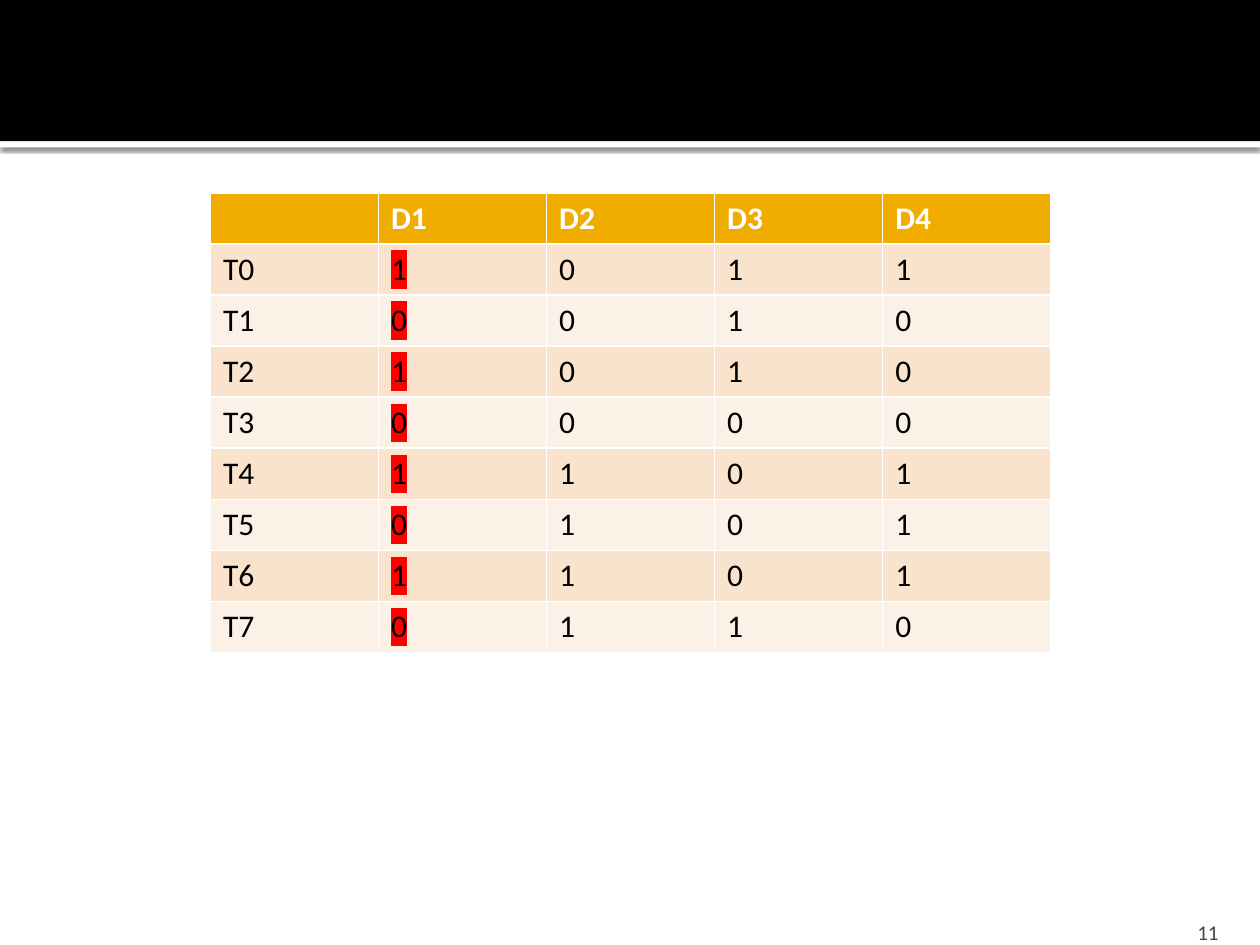
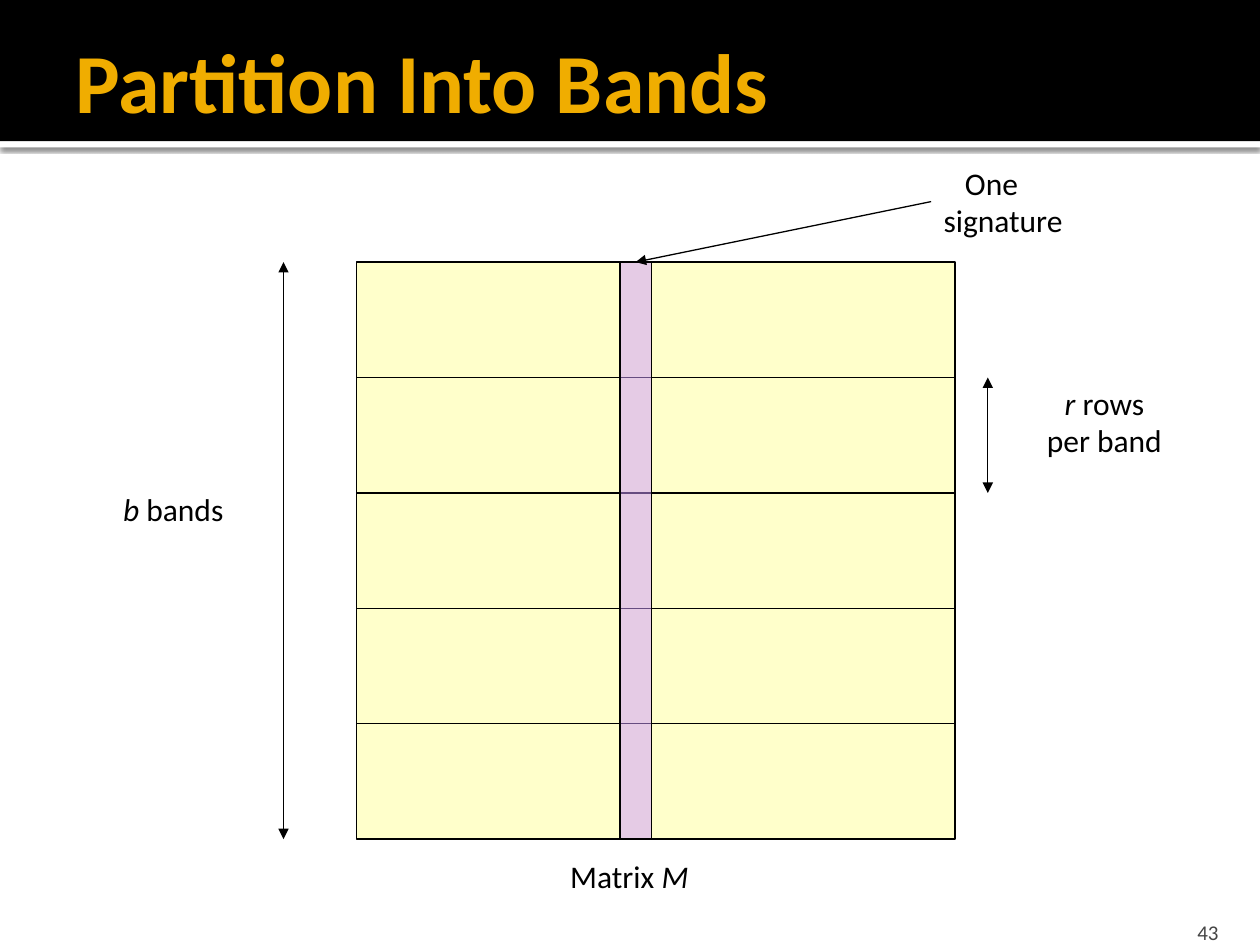
from dataclasses import dataclass

from lxml import etree
from pptx import Presentation
from pptx.dml.color import RGBColor
from pptx.enum import shapes, text
from pptx.oxml import ns
from pptx.util import Inches, Pt


@dataclass(frozen=True)
class Theme:
    """Colours, type sizes and line widths shared by the slides."""
    font: str = "Calibri"
    black: str = "000000"
    white: str = "FFFFFF"
    gold: str = "F0AD00"
    footer: str = "454545"
    stripes: tuple = ("F9E3CC", "FCF1E7")
    highlight: str = "FF0000"
    matrix: str = "FFFF99"
    signature: str = "CC99FF"
    title_size: int = 48
    body_size: int = 18
    footer_size: int = 12
    line_width: float = 0.75


THEME = Theme()
WIDTH, HEIGHT = 10, 7.5
BAND_HEIGHT = 1.12
ALIGN = text.PP_ALIGN
ANCHOR = text.MSO_ANCHOR


def add_element(parent, tag, **attributes):
    """Append a drawing element to a parent and return it."""
    return etree.SubElement(parent, ns.qn(f"a:{tag}"), attributes)


def style_font(font, size=THEME.body_size, color=THEME.black, bold=False):
    """Give a font the theme face with a size, colour and weight."""
    font.size = Pt(size)
    font.bold = bold
    font.color.rgb = RGBColor.from_string(color)
    font.name = THEME.font


def add_rectangle(slide, box, color, alpha=None, outlined=False):
    """Add a flat rectangle, optionally translucent or outlined."""
    shape = slide.shapes.add_shape(
        shapes.MSO_SHAPE.RECTANGLE, *(Inches(value) for value in box))
    shape.shadow.inherit = False
    shape.fill.solid()
    shape.fill.fore_color.rgb = RGBColor.from_string(color)
    if alpha is not None:
        color_element = shape.element.spPr.find(f".//{ns.qn('a:srgbClr')}")
        add_element(color_element, "alpha", val=str(alpha * 1000))
    if outlined:
        shape.line.color.rgb = RGBColor.from_string(THEME.black)
        shape.line.width = Pt(THEME.line_width)
    else:
        shape.line.fill.background()
    return shape


def add_line(slide, start, end, head=False, tail=False):
    """Add a thin straight line with optional arrowheads."""
    connector = slide.shapes.add_connector(
        shapes.MSO_CONNECTOR.STRAIGHT, *(Inches(value) for value in (*start, *end)))
    connector.line.color.rgb = RGBColor.from_string(THEME.black)
    connector.line.width = Pt(THEME.line_width)
    properties = connector.element.spPr
    line = properties.find(ns.qn("a:ln"))
    for wanted, tag in ((head, "headEnd"), (tail, "tailEnd")):
        if wanted:
            add_element(line, tag, type="triangle")
    add_element(properties, "effectLst")
    return connector


def add_text(slide, box, paragraphs, align=ALIGN.LEFT, anchor=ANCHOR.TOP,
             insets=(0.1, 0.05, 0.1, 0.05), **style):
    """Add a text box; each paragraph is a list of (words, italic) runs."""
    shape = slide.shapes.add_textbox(*(Inches(value) for value in box))
    frame = shape.text_frame
    frame.word_wrap = True
    frame.vertical_anchor = anchor
    (frame.margin_left, frame.margin_top,
     frame.margin_right, frame.margin_bottom) = (Inches(inset) for inset in insets)
    for index, runs in enumerate(paragraphs):
        paragraph = frame.add_paragraph() if index else frame.paragraphs[0]
        paragraph.alignment = align
        for words, italic in runs:
            run = paragraph.add_run()
            run.text = words
            style_font(run.font, **style)
            run.font.italic = italic
    return shape


def add_frame(slide, number, title=None):
    """Add the header band, its shadowed rule, the page number and the title."""
    rule = add_rectangle(slide, (0, BAND_HEIGHT, WIDTH, 0.05), THEME.white)
    effects = rule.element.spPr.find(ns.qn("a:effectLst"))
    shadow = add_element(effects, "outerShdw", blurRad=str(Pt(2.5)),
                         dist=str(Pt(0.8)), dir="5400000", rotWithShape="0")
    color = add_element(shadow, "srgbClr", val=THEME.black)
    add_element(color, "alpha", val="60000")
    add_rectangle(slide, (0, 0, WIDTH, BAND_HEIGHT), THEME.black)
    add_text(slide, (8.97, HEIGHT - 0.3, 0.8, 0.3), [[(str(number), False)]],
             ALIGN.RIGHT, ANCHOR.BOTTOM, (0.1, 0.05, 0.1, 0),
             size=THEME.footer_size, color=THEME.footer)
    if title:
        add_text(slide, (0.5, 0.17, 9.5, 0.92), [[(title, False)]],
                 anchor=ANCHOR.MIDDLE, insets=(0.1, 0.05, 0.05, 0.05),
                 size=THEME.title_size, color=THEME.gold, bold=True)


def highlight_run(run):
    """Mark a run with the highlight colour."""
    fill = run.font.fill
    fill.solid()
    run.font.color.rgb = RGBColor.from_string(THEME.black)
    properties = run._r.get_or_add_rPr()
    highlight = etree.Element(ns.qn("a:highlight"))
    add_element(highlight, "srgbClr", val=THEME.highlight)
    properties.find(ns.qn("a:solidFill")).addnext(highlight)


def add_bit_table(slide, box, documents, bits):
    """Add the term by document table with the first document highlighted."""
    rows = [["", *documents]]
    rows += [[f"T{index}", *values] for index, values in enumerate(bits)]
    table = slide.shapes.add_table(
        len(rows), len(rows[0]), *(Inches(value) for value in box)).table
    for row in table.rows:
        row.height = Inches(box[3] / len(rows))
    for row_index, values in enumerate(rows):
        header = row_index == 0
        fill = THEME.gold if header else THEME.stripes[(row_index - 1) % 2]
        for column_index, value in enumerate(values):
            cell = table.cell(row_index, column_index)
            cell.fill.solid()
            cell.fill.fore_color.rgb = RGBColor.from_string(fill)
            cell.text_frame.text = value
            paragraph = cell.text_frame.paragraphs[0]
            style_font(paragraph.font)
            for run in paragraph.runs:
                style_font(run.font, bold=header,
                           color=THEME.white if header else THEME.black)
                if column_index == 1 and not header:
                    highlight_run(run)


def add_band_diagram(slide, box, bands):
    """Add the banded matrix with its signature column, measures and labels."""
    left, top, width, height = box
    right, bottom = left + width, top + height
    band = height / bands
    add_rectangle(slide, box, THEME.matrix, alpha=50, outlined=True)
    for index in range(1, bands):
        y = top + index * band
        add_line(slide, (left, y), (right, y))
    row_x, bands_x = right + 0.26, left - 0.58
    add_line(slide, (row_x, top + band), (row_x, top + 2 * band), head=True, tail=True)
    add_line(slide, (bands_x, top), (bands_x, bottom), head=True, tail=True)

    column = add_rectangle(slide, (left + 2.09, top, 0.25, height),
                           THEME.signature, alpha=50, outlined=True)
    label = add_text(slide, (left + 4.56, top - 0.83, 1.22, 0.7),
                     [[("One", False)], [("signature", False)]])
    first_line = label.text_frame.paragraphs[0]._p.get_or_add_pPr()
    first_line.set("indent", str(Inches(0.17)))
    arrow = add_line(slide, (left + 4.56, top - 0.48), (left + 2.21, top), tail=True)
    arrow.begin_connect(label, 1)
    arrow.end_connect(column, 0)

    labels = (
        ((left + 1.43, bottom + 0.09, 1.47, 0.5), [[("Matrix ", False), ("M", True)]]),
        ((right + 0.43, top + band, 1.51, 0.9),
         [[("r", True), (" rows", False)], [("per band", False)]]),
        ((left - 2.19, top + 1.76, 1.47, 0.5), [[("b", True), (" bands", False)]]),
    )
    for label_box, paragraphs in labels:
        add_text(slide, label_box, paragraphs, ALIGN.CENTER)


def main():
    """Build the two slides and save them."""
    presentation = Presentation()
    presentation.slide_width, presentation.slide_height = Inches(WIDTH), Inches(HEIGHT)
    blank = presentation.slide_layouts[6]

    slide = presentation.slides.add_slide(blank)
    add_frame(slide, 11)
    add_bit_table(slide, (1.67, 1.53, 6.67, 3.65), ("D1", "D2", "D3", "D4"),
                  ("1011", "0010", "1010", "0000", "1101", "0101", "1101", "0110"))

    slide = presentation.slides.add_slide(blank)
    add_frame(slide, 43, "Partition Into Bands")
    add_band_diagram(slide, (2.83, 2.08, 4.75, 4.58), 5)

    presentation.save("out.pptx")


if __name__ == "__main__":
    main()
